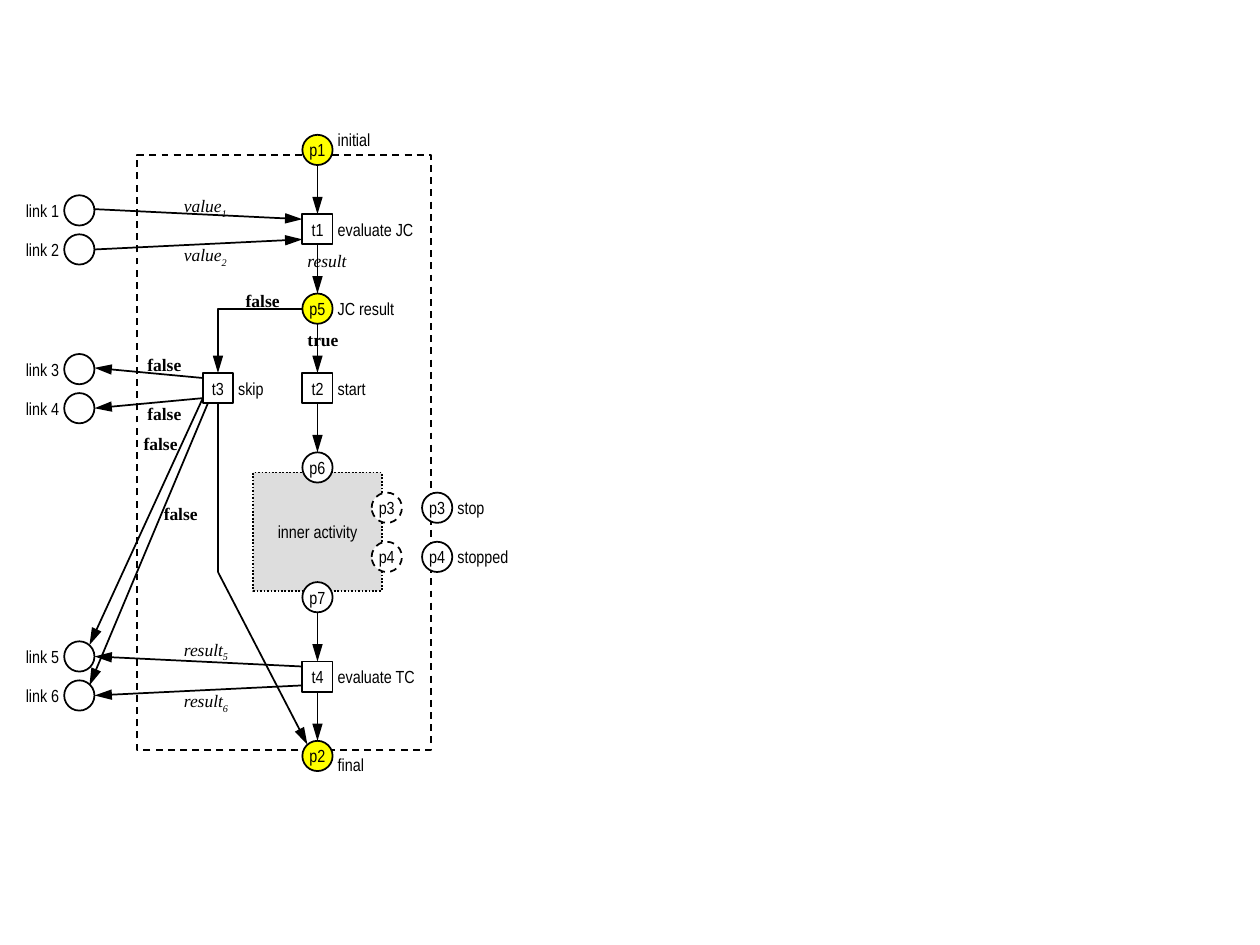
from lxml import etree
from pptx import Presentation
from pptx.dml.color import RGBColor
from pptx.enum.dml import MSO_LINE
from pptx.enum.shapes import MSO_CONNECTOR, MSO_SHAPE
from pptx.enum.text import MSO_ANCHOR, MSO_AUTO_SIZE, PP_ALIGN
from pptx.oxml.ns import qn
from pptx.util import Inches, Pt

RECT, CIRCLE = MSO_SHAPE.RECTANGLE, MSO_SHAPE.OVAL
STRAIGHT, ELBOW = MSO_CONNECTOR.STRAIGHT, MSO_CONNECTOR.ELBOW
DASH, DOT = MSO_LINE.DASH, MSO_LINE.ROUND_DOT
LEFT, CENTER, RIGHT = PP_ALIGN.LEFT, PP_ALIGN.CENTER, PP_ALIGN.RIGHT
TOP, MIDDLE = MSO_ANCHOR.TOP, MSO_ANCHOR.MIDDLE
FIT = MSO_AUTO_SIZE.SHAPE_TO_FIT_TEXT

BLACK, WHITE, YELLOW, GREY = "000000", "FFFFFF", "FFFF00", "DDDDDD"
SANS, SERIF = "Arial Narrow", "Times New Roman"
SIZE, HALF = 0.24, 0.12
LABEL_WIDTH = 0.31
MAIN_X, SKIP_X, LINK_X = 2.52, 1.73, 0.63
INNER_X, OUTER_X = 3.07, 3.47

# Nodes: name, shape, centre x, centre y, fill, dash, label, label shift
NODES = [
    ("p1", CIRCLE, MAIN_X, 1.19, YELLOW, None, "initial", -0.08),
    ("t1", RECT, MAIN_X, 1.82, WHITE, None, "evaluate JC", 0),
    ("p5", CIRCLE, MAIN_X, 2.45, YELLOW, None, "JC result", 0),
    ("t2", RECT, MAIN_X, 3.08, WHITE, None, "start", 0),
    ("t3", RECT, SKIP_X, 3.08, WHITE, None, "skip", 0),
    ("p6", CIRCLE, MAIN_X, 3.71, WHITE, None, "", 0),
    ("p7", CIRCLE, MAIN_X, 4.74, WHITE, None, "", 0),
    ("t4", RECT, MAIN_X, 5.37, WHITE, None, "evaluate TC", 0),
    ("p2", CIRCLE, MAIN_X, 6.0, YELLOW, None, "final", 0.07),
    ("p3", CIRCLE, INNER_X, 4.03, WHITE, DASH, "", 0),
    ("p4", CIRCLE, INNER_X, 4.42, WHITE, DASH, "", 0),
    ("p3", CIRCLE, OUTER_X, 4.03, WHITE, None, "stop", 0),
    ("p4", CIRCLE, OUTER_X, 4.42, WHITE, None, "stopped", 0),
]
LINK_ROWS = [1.67, 1.98, 2.93, 3.24, 5.21, 5.52]
FLOW = [("p1", "t1"), ("t1", "p5"), ("p5", "t2"), ("t2", "p6"), ("p7", "t4"), ("t4", "p2")]

# Slanted arrows: from x, from y, to x, to y
LINK_ARROWS = [
    (0.75, 1.66, 2.4, 1.74), (0.75, 1.98, 2.4, 1.9),
    (1.61, 3.0, 0.75, 2.92), (1.61, 3.16, 0.75, 3.24),
    (1.61, 3.16, 0.71, 5.12), (1.65, 3.2, 0.71, 5.44),
    (2.4, 5.29, 0.75, 5.21), (2.4, 5.44, 0.75, 5.52),
    (1.73, 4.54, 2.44, 5.91),
]
# Captions: left, top, width, text, subscript
VALUES = [
    (1.46, 1.55, 0.34, "value", "1"), (1.46, 1.94, 0.34, "value", "2"),
    (1.46, 5.07, 0.36, "result", "5"), (1.46, 5.48, 0.36, "result", "6"),
]
FALSE_SPOTS = [(1.95, 2.3), (1.17, 2.81), (1.17, 3.2), (1.14, 3.44), (1.3, 3.99)]

deck = Presentation()
deck.slide_width, deck.slide_height = Inches(10), Inches(7.5)
page = deck.slides.add_slide(deck.slide_layouts[6])


def color(value):
    return RGBColor.from_string(value)


def write(shape, text, align, anchor, margins, face=SANS, bold=False, italic=False, sub=""):
    frame = shape.text_frame
    frame.word_wrap = False
    frame.vertical_anchor = anchor
    frame.margin_left = frame.margin_right = Inches(margins[0])
    frame.margin_top = frame.margin_bottom = Inches(margins[1])
    para = frame.paragraphs[0]
    para.alignment = align
    para.add_run().text = text
    if sub:
        span = para.add_run()
        span.text = sub
        span.font._element.set("baseline", "-25000")
    font = para.font
    font.name, font.size, font.bold, font.italic = face, Pt(10), bold, italic
    font.color.rgb = color(BLACK)


def add_shape(kind, left, top, width, height, fill=None, dash=None, text=""):
    shape = page.shapes.add_shape(kind, *map(Inches, (left, top, width, height)))
    shape.shadow.inherit = False
    if fill:
        shape.fill.solid()
        shape.fill.fore_color.rgb = color(fill)
    else:
        shape.fill.background()
    shape.line.color.rgb = color(BLACK)
    shape.line.width = Pt(1)
    if dash:
        shape.line.dash_style = dash
    if text:
        write(shape, text, CENTER, MIDDLE, (0.1, 0.05))
    return shape


def add_node(kind, x, y, fill=WHITE, dash=None, text=""):
    return add_shape(kind, x - HALF, y - HALF, SIZE, SIZE, fill, dash, text)


def add_label(left, top, width, height, text, align=LEFT, anchor=MIDDLE, margins=(0.04, 0), **style):
    """Put text in a bare rectangle, which lets a long line run past its side."""
    label = add_shape(RECT, left, top, width, height)
    label.line.fill.background()
    write(label, text, align, anchor, margins, **style)


def add_caption(left, top, width, height, text, **style):
    box = page.shapes.add_textbox(*map(Inches, (left, top, width, height)))
    write(box, text, LEFT, TOP, (0, 0), face=SERIF, **style)
    box.text_frame.auto_size = FIT


def add_line(x1, y1, x2, y2, kind=STRAIGHT, arrow=True):
    line = page.shapes.add_connector(kind, *map(Inches, (x1, y1, x2, y2)))
    line.line.color.rgb = color(BLACK)
    line.line.width = Pt(1)
    if arrow:
        etree.SubElement(line.line._get_or_add_ln(), qn("a:tailEnd"),
                         type="triangle", w="med", len="lg")
    etree.SubElement(line._element.spPr, qn("a:effectLst"))
    return line


# Activity frames
add_shape(RECT, 1.09, 1.23, 2.33, 4.72, dash=DASH)
add_shape(RECT, 2.01, 3.75, 1.02, 0.94, GREY, DOT, "inner activity")

# Places and transitions with their labels
shapes, rows = {}, {}
for name, kind, x, y, fill, dash, label, shift in NODES:
    shapes[name] = add_node(kind, x, y, fill, dash, name)
    rows[name] = y
    if label:
        add_label(x + HALF, y - HALF + shift, LABEL_WIDTH, SIZE, label)

# Links
for number, y in enumerate(LINK_ROWS, 1):
    add_node(CIRCLE, LINK_X, y)
    add_label(LINK_X - HALF - LABEL_WIDTH, y - HALF, LABEL_WIDTH, SIZE, f"link {number}", RIGHT)

# Main flow, joined to shapes at top and bottom
for start, end in FLOW:
    arrow = add_line(MAIN_X, rows[start] + HALF, MAIN_X, rows[end] - HALF)
    if start.startswith("t"):
        arrow.begin_connect(shapes[start], 2)
    arrow.end_connect(shapes[end], 0)

# Skip branch: one bend, left and then down
bend = add_line(MAIN_X - HALF, rows["p5"], SKIP_X, rows["t3"] - HALF, ELBOW)
bend._element.spPr.find(qn("a:prstGeom")).set("prst", "bentConnector2")
turn = bend._element.spPr.find(qn("a:xfrm"))
turn.attrib.pop("flipH", None)
turn.set("rot", "10800000")
turn.set("flipV", "1")
stem = add_line(SKIP_X, rows["t3"] + HALF, SKIP_X, 4.54, arrow=False)
stem.begin_connect(shapes["t3"], 2)
for ends in LINK_ARROWS:
    add_line(*ends)

# Arrow captions
for left, top, width, text, sub in VALUES:
    add_caption(left, top, width, 0.19, text, italic=True, sub=sub)
for left, top in FALSE_SPOTS:
    add_caption(left, top, 0.27, 0.17, "false", bold=True)
for name, text, style in [("t1", "result", {"italic": True}), ("p5", "true", {"bold": True})]:
    add_label(MAIN_X - HALF, rows[name] + HALF, LABEL_WIDTH, 0.39, text,
              anchor=TOP, margins=(0.04, 0.04), face=SERIF, **style)

deck.save("out.pptx")
